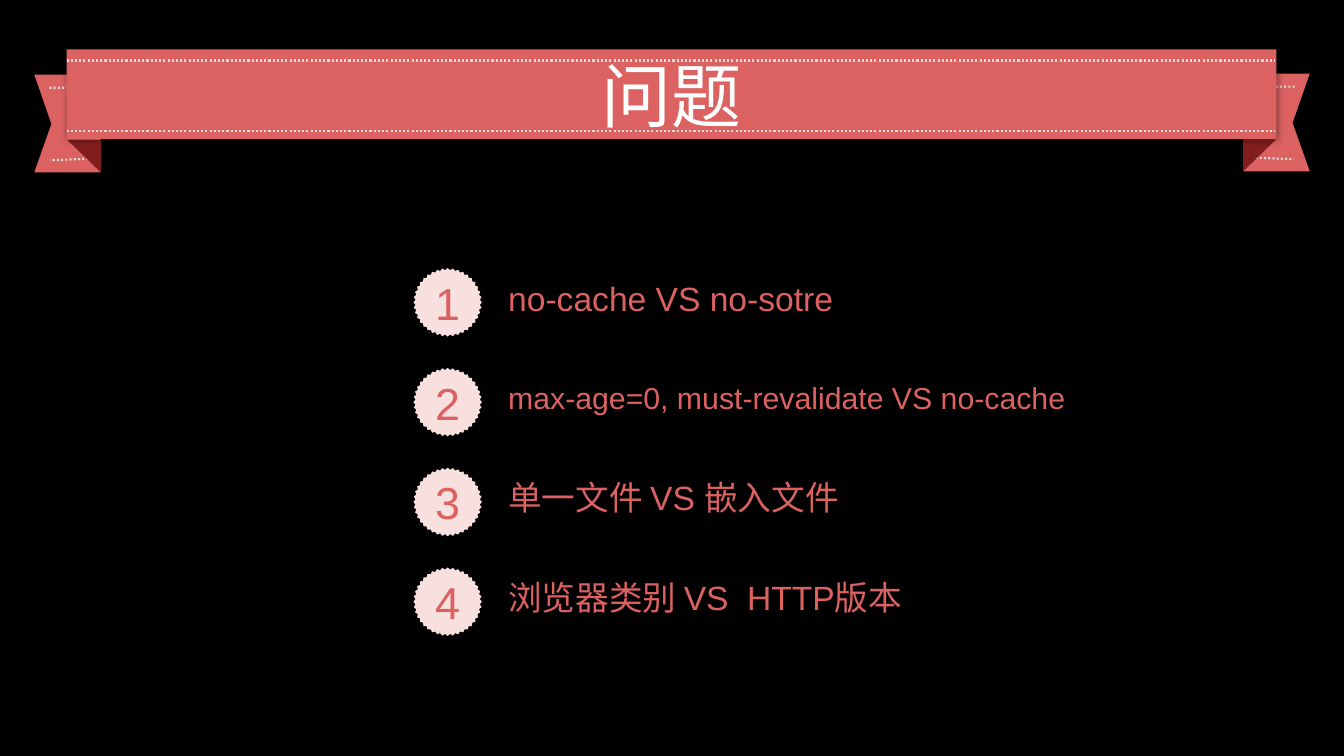
from dataclasses import dataclass
from math import cos, pi, sin

from lxml.etree import SubElement
from pptx import Presentation
from pptx.dml.color import RGBColor
from pptx.enum.dml import MSO_LINE
from pptx.enum.text import MSO_ANCHOR, MSO_AUTO_SIZE, PP_ALIGN
from pptx.oxml.ns import qn
from pptx.util import Inches, Pt

COLORS = {
    "background": "000000",
    "ribbon": "DB6261",
    "fold": "811E1D",
    "stitch": "DDDDDD",
    "badge": "F8E0DF",
    "title": "FFFFFF",
    "shadow": "000000",
}
FONT = "Arial"
SLIDE_WIDTH, SLIDE_HEIGHT = 13.33, 7.5
FIRST_ROW_TOP, ROW_PITCH, ROW_HEIGHT = 2.62, 0.99, 0.72
BADGE_X, BADGE_OFFSET = 4.44, 0.38
BADGE_TEETH, OUTER_RADIUS, INNER_RADIUS = 40, 0.34, 0.32

Points = list[tuple[float, float]]


@dataclass
class Question:
    text: str
    size: float = 24


@dataclass
class RibbonPart:
    points: Points
    color: str
    stitched: bool = False


QUESTIONS = [
    Question("no-cache VS no-sotre"),
    Question("max-age=0, must-revalidate VS no-cache", 21.6),
    Question("单一文件 VS 嵌入文件"),
    Question("浏览器类别 VS  HTTP版本"),
]

LEFT_TAIL = [
    RibbonPart([(0.34, 0.74), (0.99, 0.74), (0.99, 1.71), (0.34, 1.71), (0.51, 1.23)], "ribbon"),
    RibbonPart([(0.49, 0.87), (0.98, 0.87), (0.98, 1.57), (0.5, 1.59)], "stitch", True),
    RibbonPart([(0.67, 1.39), (1, 1.39), (1, 1.71)], "fold"),
]


def rgb(name: str) -> RGBColor:
    return RGBColor.from_string(COLORS[name])


def fill_plain(shape, color: str) -> None:
    shape.shadow.inherit = False
    shape.fill.solid()
    shape.fill.fore_color.rgb = rgb(color)
    shape.line.fill.background()


def stitch(line) -> None:
    line.color.rgb = rgb("stitch")
    line.width = Pt(1.5)
    line.dash_style = MSO_LINE.ROUND_DOT


def place(shape, left: float, top: float, width: float, height: float) -> None:
    shape.left, shape.top = Inches(left), Inches(top)
    shape.width, shape.height = Inches(width), Inches(height)


def write(shape, text: str, size: float, color: str, alignment: PP_ALIGN):
    frame = shape.text_frame
    frame.word_wrap = True
    frame.auto_size = MSO_AUTO_SIZE.NONE
    frame.vertical_anchor = MSO_ANCHOR.MIDDLE
    paragraph = frame.paragraphs[0]
    paragraph.alignment = alignment
    run = paragraph.add_run()
    run.text = text
    run.font.name = FONT
    run.font.size = Pt(size)
    run.font.bold = False
    run.font.color.rgb = rgb(color)
    return paragraph


def add_outline(slide, points: Points, closed: bool = True):
    corners = [(Inches(x), Inches(y)) for x, y in points]
    builder = slide.shapes.build_freeform(*corners[0])
    builder.add_line_segments(corners[1:], close=closed)
    return builder.convert_to_shape()


def add_tail(slide, mirrored: bool) -> None:
    for part in LEFT_TAIL:
        points = [(SLIDE_WIDTH - x, y - 0.01) for x, y in part.points] if mirrored else part.points
        shape = add_outline(slide, points, closed=not part.stitched)
        fill_plain(shape, part.color)
        if part.stitched:
            shape.fill.background()
            stitch(shape.line)


def add_glow_shadow(shape) -> None:
    """Give the shape a soft black shadow spreading evenly on all sides."""
    effects = shape.element.spPr.find(qn("a:effectLst"))
    shadow = SubElement(effects, qn("a:outerShdw"), blurRad=str(Pt(5)), dist="0", dir="0",
                        algn="ctr", rotWithShape="0")
    color = SubElement(shadow, qn("a:srgbClr"), val=COLORS["shadow"])
    SubElement(color, qn("a:alpha"), val="40000")


def add_banner(slide) -> None:
    for mirrored in (False, True):
        add_tail(slide, mirrored)
    banner = slide.shapes.title
    slide.shapes.element.append(banner.element)  # bring in front of the tails
    place(banner, 0.66, 0.49, 12, 0.89)
    fill_plain(banner, "ribbon")
    add_glow_shadow(banner)
    write(banner, "问题", 50, "title", PP_ALIGN.CENTER)
    for y in (0.6, 1.3):
        seam = slide.shapes.add_connector(1, Inches(0.66), Inches(y), Inches(12.65), Inches(y))
        stitch(seam.line)
        SubElement(seam.element.spPr, qn("a:effectLst"))


def add_badge(slide, number: int, center_y: float) -> None:
    points = []
    for step in range(2 * BADGE_TEETH):
        radius = INNER_RADIUS if step % 2 else OUTER_RADIUS
        angle = step * pi / BADGE_TEETH
        points.append((BADGE_X + radius * cos(angle), center_y + radius * sin(angle)))
    badge = add_outline(slide, points)
    fill_plain(badge, "badge")
    write(badge, str(number), 32, "ribbon", PP_ALIGN.CENTER)


def fill_question(placeholder, question: Question, top: float) -> None:
    place(placeholder, 4.94, top, 5.95, ROW_HEIGHT)
    paragraph = write(placeholder, question.text, question.size, "ribbon", PP_ALIGN.LEFT)
    paragraph.line_spacing = 0.9
    paragraph.space_before = Pt(0)
    properties = paragraph._p.get_or_add_pPr()
    properties.set("marL", "0")
    properties.set("indent", "0")
    SubElement(properties, qn("a:buNone"))


def main() -> None:
    presentation = Presentation()
    presentation.slide_width = Inches(SLIDE_WIDTH)
    presentation.slide_height = Inches(SLIDE_HEIGHT)
    comparison_layout = presentation.slide_layouts[4]  # a title and four text placeholders
    slide = presentation.slides.add_slide(comparison_layout)
    slide.background.fill.solid()
    slide.background.fill.fore_color.rgb = rgb("background")

    add_banner(slide)
    for index, question in enumerate(QUESTIONS):
        top = FIRST_ROW_TOP + index * ROW_PITCH
        fill_question(slide.placeholders[index + 1], question, top)
        add_badge(slide, index + 1, top + BADGE_OFFSET)

    presentation.save("out.pptx")


if __name__ == "__main__":
    main()
